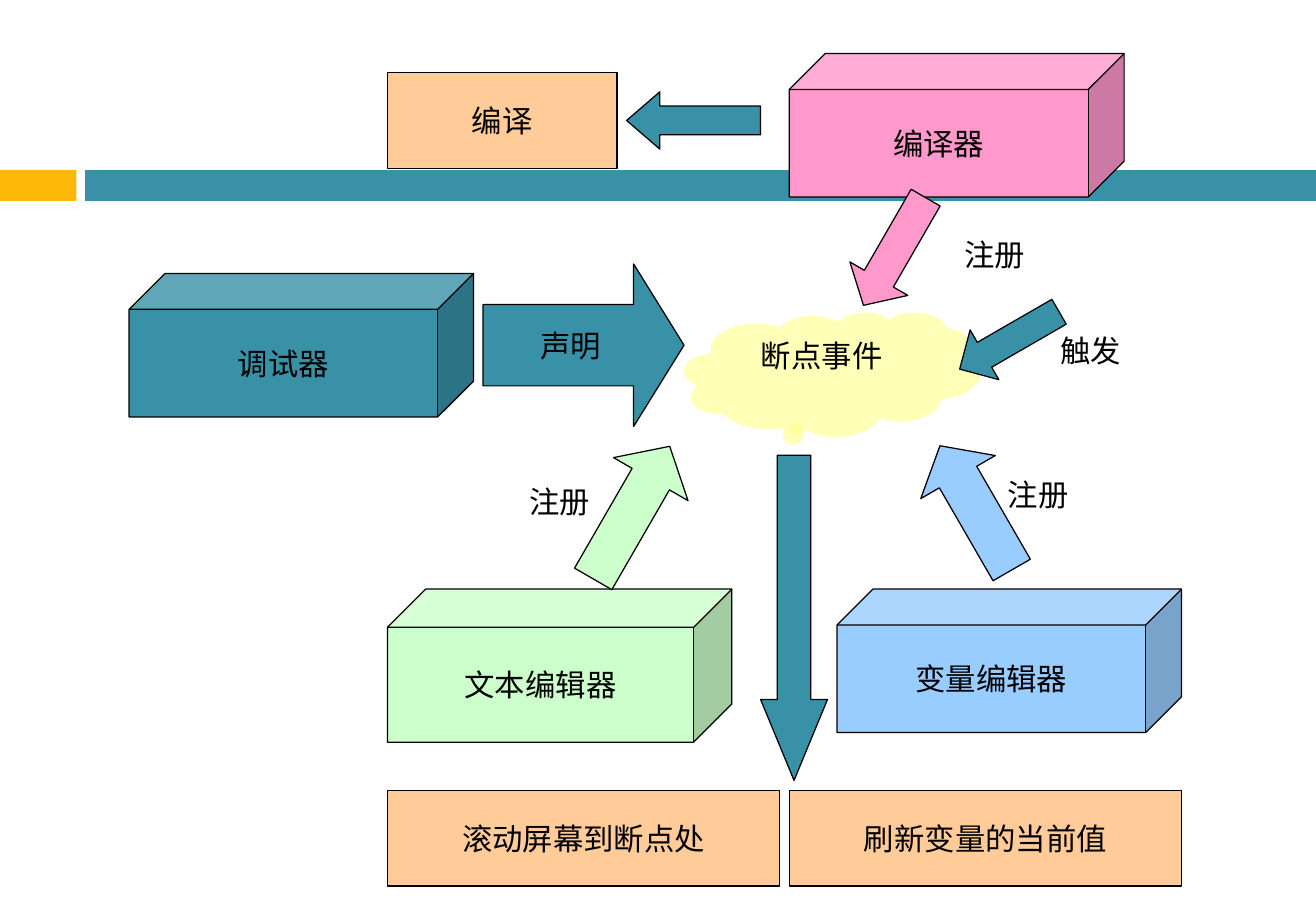
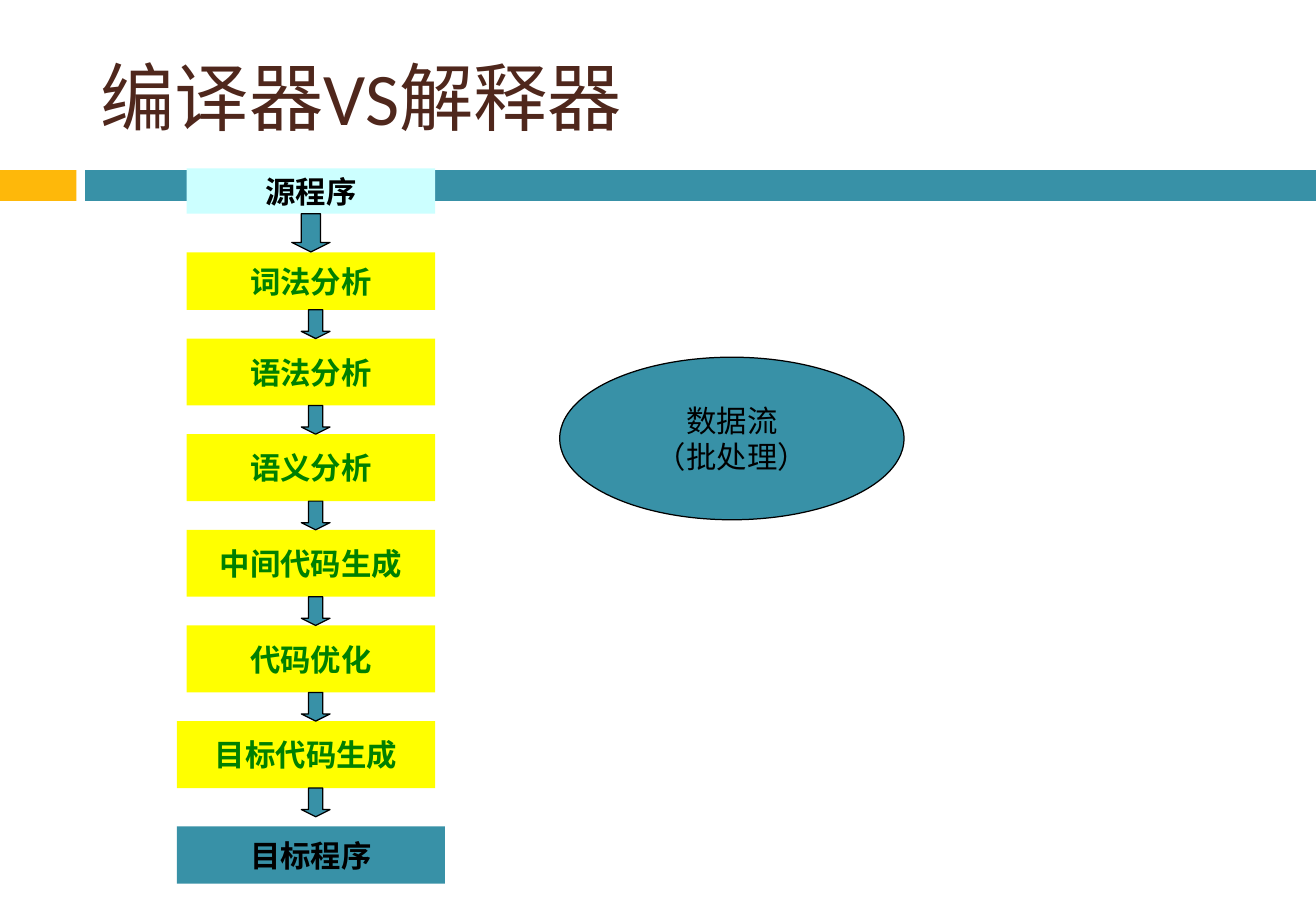
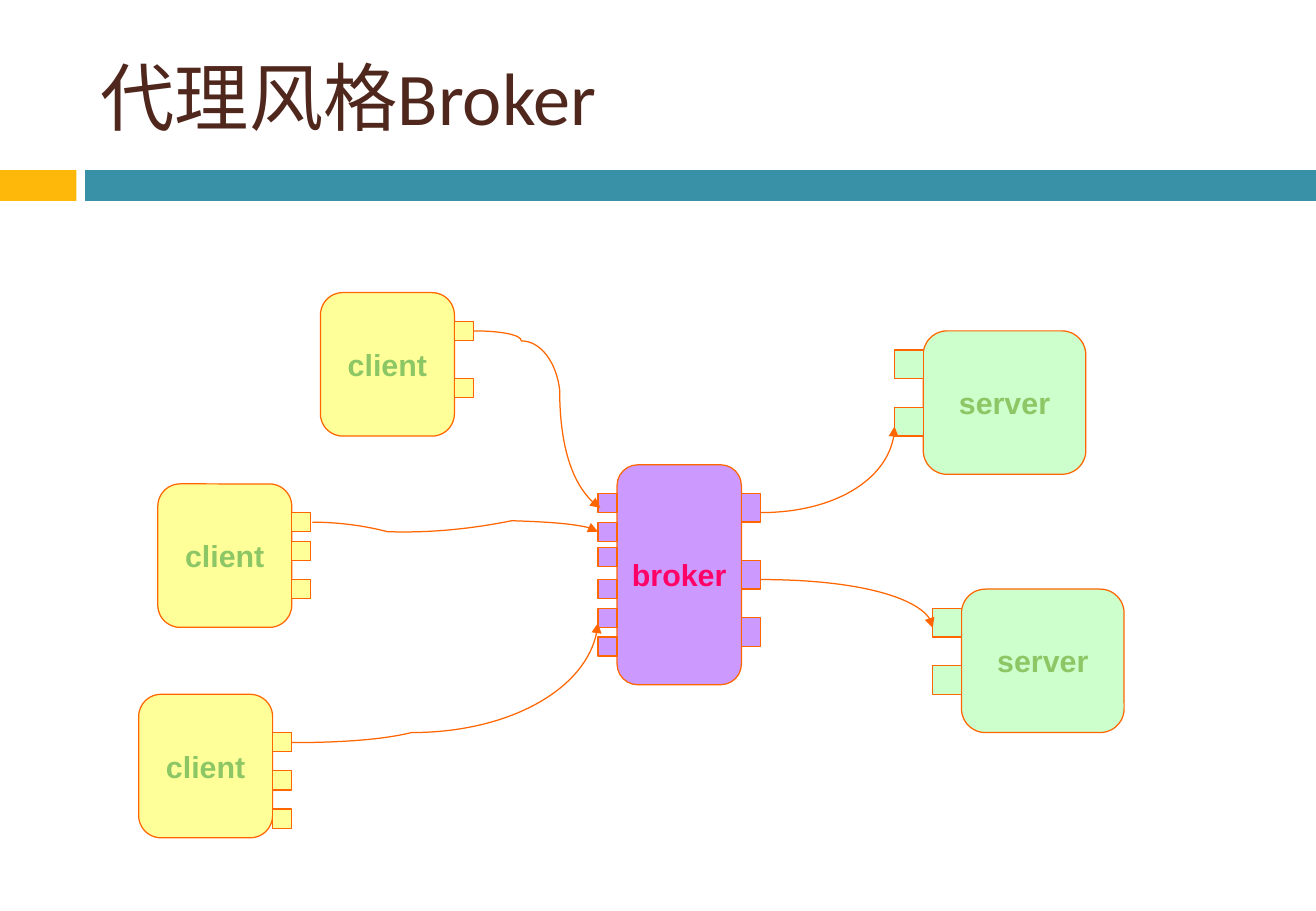
from lxml import etree
from pptx import Presentation
from pptx import util as u
from pptx.dml.color import RGBColor
from pptx.enum import shapes, text
from pptx.oxml.ns import qn

KIND = shapes.MSO_SHAPE
TEAL, GOLD, BROWN, BLACK = "3891A7", "FEB80A", "4F271C", "000000"
GREEN, BLUE, PINK, PEACH = "CCFFCC", "99CCFF", "FF99CC", "FFCC99"
YELLOW, CYAN, DARK_GREEN = "FFFF00", "CCFFFF", "008000"
PALE_YELLOW, PURPLE, ORANGE = "FFFF99", "CC99FF", "FF6600"
LIME, MAGENTA = "8DC765", "FF0066"


def color(value):
    return RGBColor.from_string(value)


def lengths(values):
    return [u.Cm(value) for value in values]


class Deck:
    title_box = (1.85, 0.64, 24.54, 2.74)
    bands = [((0, 3.56, 1.6, 0.64), GOLD), ((1.78, 3.56, 25.73, 0.64), TEAL)]
    body = {"name": "Calibri", "size": u.Pt(18), "bold": False}
    label = {"name": "Arial", "size": u.Pt(18), "bold": True}
    heading = {"name": "Calibri", "size": u.Pt(44), "bold": False}

    def __init__(self):
        self.presentation = Presentation()
        self.presentation.slide_width = u.Cm(27.51)
        self.presentation.slide_height = u.Cm(19.05)
        self.slide = None

    def add_slide(self, title=None):
        layout = self.presentation.slide_layouts[5 if title else 6]
        self.slide = self.presentation.slides.add_slide(layout)
        for box, fill in self.bands:
            self.block(KIND.RECTANGLE, box, fill, line=None)
        if title:
            shape = self.slide.shapes.title
            shape.left, shape.top, shape.width, shape.height = lengths(self.title_box)
            self.set_words(shape, title, self.heading, BROWN, text.PP_ALIGN.LEFT)
            shape.text_frame.word_wrap = True

    def set_words(self, shape, words, style, ink=BLACK, align=text.PP_ALIGN.CENTER,
                  anchor=text.MSO_ANCHOR.MIDDLE):
        frame = shape.text_frame
        frame.text = words
        settings = {"word_wrap": False, "vertical_anchor": anchor,
                    "auto_size": text.MSO_AUTO_SIZE.NONE}
        for name, value in settings.items():
            setattr(frame, name, value)
        for paragraph in frame.paragraphs:
            paragraph.alignment = align
            font = paragraph.runs[0].font
            for name, value in style.items():
                setattr(font, name, value)
            font.color.rgb = color(ink)

    def outline(self, shape, line):
        shape.shadow.inherit = False
        if line:
            shape.line.color.rgb = color(line)
            shape.line.width = u.Pt(0.75)
        else:
            shape.line.fill.background()

    def block(self, kind, box, fill, words=None, style=None, ink=BLACK, line=BLACK,
              adjust=(), rotation=0, anchor=text.MSO_ANCHOR.MIDDLE):
        shape = self.slide.shapes.add_shape(kind, *lengths(box))
        shape.fill.solid()
        shape.fill.fore_color.rgb = color(fill)
        self.outline(shape, line)
        for index, value in enumerate(adjust):
            shape.adjustments[index] = value
        shape.rotation = rotation
        if words:
            self.set_words(shape, words, style or self.body, ink, anchor=anchor)
        return shape

    def cloud(self, box, fill, words, opacity):
        shape = self.block(KIND.CLOUD_CALLOUT, box, fill, words, line=None,
                           adjust=(-0.12, 0.44), anchor=text.MSO_ANCHOR.TOP)
        tint = shape.element.spPr.find(qn("a:solidFill"))[0]
        etree.SubElement(tint, qn("a:alpha"), val=str(opacity * 1000))

    def caption(self, box, words):
        shape = self.slide.shapes.add_textbox(*lengths(box))
        self.set_words(shape, words, self.body)

    def node(self, words, box, fill, ink, tab, left=(), right=()):
        x, y, width, height = box
        self.block(KIND.ROUNDED_RECTANGLE, box, fill, words, self.label, ink, ORANGE)
        for tab_x, tab_size, offsets in ((x - tab[0], (tab[0], tab[0]), left),
                                         (x + width, tab, right)):
            for offset in offsets:
                self.block(KIND.RECTANGLE, (tab_x, y + offset, *tab_size), fill,
                           line=ORANGE)

    def curve(self, start, *controls):
        builder = self.slide.shapes.build_freeform(*lengths(start))
        builder.add_line_segments([lengths(point) for point in controls], close=False)
        shape = builder.convert_to_shape()
        shape.fill.background()
        self.outline(shape, ORANGE)
        segments = list(shape.element.iter(qn("a:lnTo")))
        for index in range(0, len(segments), 3):
            first, *others = segments[index:index + 3]
            first.tag = qn("a:cubicBezTo")
            for segment in others:
                first.append(segment[0])
                segment.getparent().remove(segment)
        line = shape.element.spPr.find(qn("a:ln"))
        etree.SubElement(line, qn("a:tailEnd"), type="triangle")


def breakpoint_events(deck):
    deck.add_slide()
    for words, box, fill in (
        ("文本编辑器", (8.1, 12.32, 7.2, 3.2), GREEN),
        ("变量编辑器", (17.5, 12.32, 7.2, 3), BLUE),
        ("调试器", (2.7, 5.72, 7.2, 3), TEAL),
        ("编译器", (16.5, 1.12, 7, 3), PINK),
    ):
        deck.block(KIND.CUBE, box, fill, words)
    deck.block(KIND.RIGHT_ARROW, (10.1, 5.52, 4.2, 3.4), TEAL, "声明", adjust=(0.5, 0.31))
    deck.cloud((14.3, 6.53, 6.2, 2.6), PALE_YELLOW, "断点事件", 69)
    for kind, box, fill, head, rotation in (
        (KIND.UP_ARROW, (12.3, 9.12, 1.8, 3.2), GREEN, 0.44, 30),
        (KIND.UP_ARROW, (19.5, 9.12, 1.8, 3), BLUE, 0.42, 330),
        (KIND.DOWN_ARROW, (15.9, 9.52, 1.4, 6.8), TEAL, 1.21, 0),
        (KIND.DOWN_ARROW, (18, 3.96, 1.4, 2.6), PINK, 0.46, 30),
        (KIND.LEFT_ARROW, (13.1, 1.92, 2.8, 1.2), TEAL, 0.58, 0),
        (KIND.DOWN_ARROW, (20.5, 5.92, 1.2, 2.4), TEAL, 0.5, 60),
    ):
        deck.block(kind, box, fill, adjust=(0.5, head), rotation=rotation)
    for words, box in (
        ("注册", (10.7, 9.68, 2, 1.6)),
        ("注册", (20.3, 9.73, 2.8, 1.2)),
        ("注册", (19.1, 4.72, 3.4, 1.2)),
        ("触发", (21.3, 6.73, 3, 1.2)),
    ):
        deck.caption(box, words)
    for words, box in (
        ("编译", (8.1, 1.52, 4.8, 2)),
        ("滚动屏幕到断点处", (8.1, 16.53, 8.2, 2)),
        ("刷新变量的当前值", (16.5, 16.53, 8.2, 2)),
    ):
        deck.block(KIND.RECTANGLE, box, PEACH, words)


def compiler_stages(deck):
    deck.add_slide("编译器VS解释器")
    step = 2
    stages = [
        ("源程序", (3.9, 3.52, 5.2, 0.95), CYAN, BLACK),
        ("词法分析", (3.9, 5.28, 5.2, 1.2), YELLOW, DARK_GREEN),
    ]
    for row, words in enumerate(("语法分析", "语义分析", "中间代码生成", "代码优化")):
        stages.append((words, (3.9, 7.08 + step * row, 5.2, 1.4), YELLOW, DARK_GREEN))
    stages += [
        ("目标代码生成", (3.7, 15.08, 5.4, 1.4), YELLOW, DARK_GREEN),
        ("目标程序", (3.7, 17.28, 5.6, 1.2), TEAL, BLACK),
    ]
    for words, box, fill, ink in stages:
        deck.block(KIND.RECTANGLE, box, fill, words, deck.label, ink, line=None)
    arrows = [(6.1, 4.47, 0.8, 0.8)]
    arrows += [(6.3, 6.48 + step * row, 0.6, 0.6) for row in range(6)]
    for box in arrows:
        deck.block(KIND.DOWN_ARROW, box, TEAL, adjust=(0.5, 0.25))
    deck.block(KIND.OVAL, (11.7, 7.47, 7.2, 3.4), TEAL, "数据流\n（批处理）")


def broker_style(deck):
    deck.add_slide("代理风格Broker")
    for x, y, tabs in (
        (6.7, 6.12, (0.6, 1.8)),
        (3.3, 10.12, (0.6, 1.2, 2)),
        (2.9, 14.52, (0.8, 1.6, 2.4)),
    ):
        deck.node("client", (x, y, 2.8, 3), PALE_YELLOW, LIME, (0.4, 0.4), right=tabs)
    for x, y in ((19.3, 6.92), (20.1, 12.32)):
        deck.node("server", (x, y, 3.4, 3), GREEN, LIME, (0.6, 0.6), left=(0.4, 1.6))
    deck.node("broker", (12.9, 9.72, 2.6, 4.6), PURPLE, MAGENTA, (0.4, 0.6),
              left=(0.6, 1.2, 1.73, 2.4, 3, 3.6), right=(0.6, 2, 3.2))
    for points in (
        [(9.9, 6.92), (10.46, 6.92), (10.9, 7), (10.9, 7.13),
         (11.3, 7.13), (11.63, 7.57), (11.7, 8.15),
         (11.7, 9.35), (12.04, 10.31), (12.55, 10.62)],
        [(6.53, 10.92), (7.09, 10.92), (7.65, 11), (8.1, 11.12),
         (9.04, 11.15), (9.9, 11.05), (10.7, 10.89),
         (11.68, 10.92), (12.5, 11.02), (12.5, 11.12)],
        [(6.1, 15.53), (7.09, 15.53), (8, 15.47), (8.6, 15.32),
         (10.67, 15.32), (12.42, 14.3), (12.5, 13.03)],
        [(15.9, 10.72), (17.45, 10.72), (18.7, 9.93), (18.7, 8.92)],
        [(15.9, 12.12), (17.88, 12.12), (19.5, 12.57), (19.5, 13.13)],
    ):
        deck.curve(*points)


def main():
    deck = Deck()
    breakpoint_events(deck)
    compiler_stages(deck)
    broker_style(deck)
    deck.presentation.save("out.pptx")


if __name__ == "__main__":
    main()
